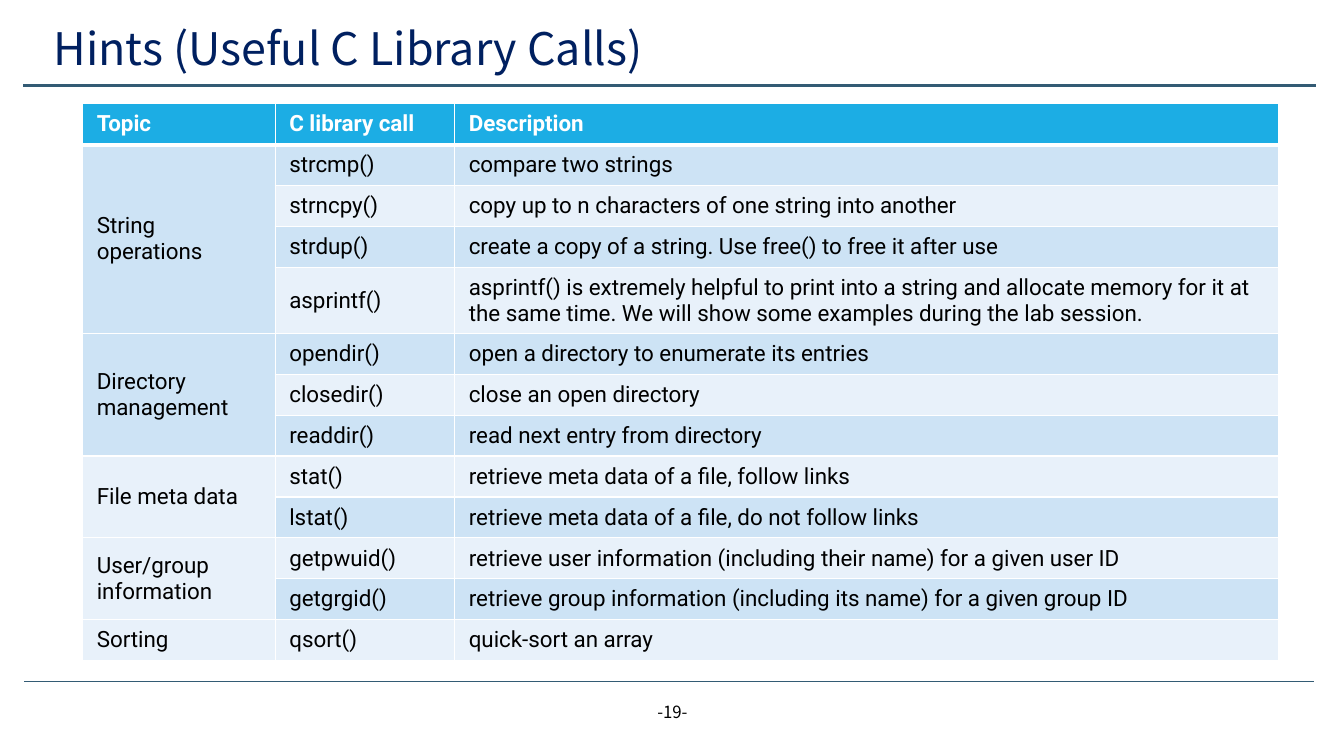
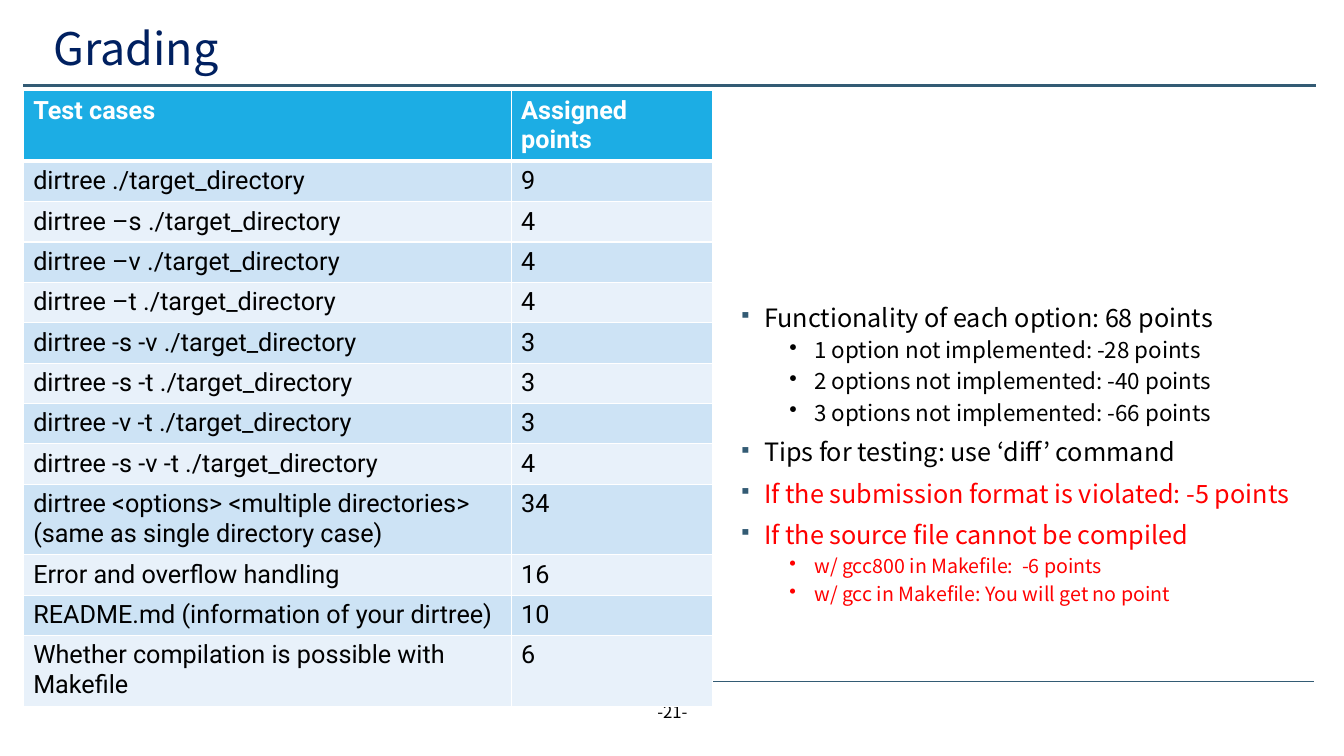
from lxml import etree
from pptx import Presentation
from pptx.dml.color import RGBColor
from pptx.enum.shapes import MSO_CONNECTOR
from pptx.enum.text import MSO_ANCHOR, MSO_AUTO_SIZE, PP_ALIGN
from pptx.oxml.ns import qn
from pptx.util import Inches, Pt

LINE = MSO_CONNECTOR.STRAIGHT
MIDDLE, TOP = MSO_ANCHOR.MIDDLE, MSO_ANCHOR.TOP
LEFT, CENTER = PP_ALIGN.LEFT, PP_ALIGN.CENTER
SANS, ROBOTO = "Noto Sans CJK KR", "Roboto"
HEX = {"navy": "002060", "rule": "335B74", "head": "1CADE4", "dark": "CDE3F5",
       "light": "E8F1FA", "white": "FFFFFF", "black": "000000", "red": "FF0000"}
RGB = {name: RGBColor.from_string(code) for name, code in HEX.items()}


def style(para, font, size, color, bold=False):
    for run in para.runs:
        run.font.name, run.font.size, run.font.bold = font, Pt(size), bold
        run.font.color.rgb = RGB[color]


def grid(slide, box, cols, rows, size, pad, anchor):
    """Add a table with a header row, banded rows and white borders."""
    frame = slide.shapes.add_table(len(rows), len(cols), *map(Inches, box))
    table = frame.table
    for col, width in zip(table.columns, cols):
        col.width = Inches(width)
    for r, row in enumerate(rows):
        head = r == 0
        band = "head" if head else "dark" if r % 2 else "light"
        for c, text in enumerate(row):
            cell = table.cell(r, c)
            cell.text_frame.text = text
            cell.vertical_anchor = anchor
            cell.margin_left = cell.margin_right = Inches(pad[0])
            cell.margin_top = cell.margin_bottom = Inches(pad[1])
            props = cell._tc.get_or_add_tcPr()
            for side in "LRTB":
                width = 3 if head and side == "B" or r == 1 and side == "T" else 1
                edge = etree.SubElement(props, qn("a:ln" + side), w=str(Pt(width)))
                fill = etree.SubElement(edge, qn("a:solidFill"))
                etree.SubElement(fill, qn("a:srgbClr"), val=HEX["white"])
            cell.fill.solid()
            cell.fill.fore_color.rgb = RGB[band]
            for para in cell.text_frame.paragraphs:
                style(para, ROBOTO, size, "white" if head else "black", head)
    return table


deck = Presentation()
deck.slide_width, deck.slide_height = Inches(13.33), Inches(7.5)
layout = deck.slide_layouts[5]

# Shared title place, rules and page numbers
title = layout.placeholders[0]
title.left, title.top = Inches(0.43), Inches(0.19)
title.width, title.height = Inches(12.64), Inches(0.63)

slides = []
for name, page in (("Hints (Useful C Library Calls)", 19), ("Grading", 21)):
    slide = deck.slides.add_slide(layout)
    slides.append(slide)
    for left, right, y, width in ((0.24, 13.03, 6.76, 0.5), (0.23, 13.05, 0.85, 1.75)):
        rule = slide.shapes.add_connector(
            LINE, Inches(left), Inches(y), Inches(right), Inches(y))
        rule.line.color.rgb, rule.line.width = RGB["rule"], Pt(width)
        etree.SubElement(rule._element.spPr, qn("a:effectLst"))
    text = slide.shapes.title.text_frame
    text.text = name
    text.vertical_anchor = MIDDLE
    text.auto_size = MSO_AUTO_SIZE.NONE
    para = text.paragraphs[0]
    para.alignment, para.line_spacing = LEFT, 0.9
    style(para, SANS, 32, "navy")
    foot = slide.shapes.add_textbox(Inches(5.17), Inches(6.91), Inches(3), Inches(0.4))
    foot.text_frame.word_wrap = True
    foot.text_frame.text = f"-{page}-"
    para = foot.text_frame.paragraphs[0]
    para.alignment = CENTER
    style(para, SANS, 12, "black")
hints, grading = slides

# Library calls, grouped by topic
topics = [
    ("String\noperations", [
        ("strcmp()", "compare two strings"),
        ("strncpy()", "copy up to n characters of one string into another"),
        ("strdup()", "create a copy of a string. Use free() to free it after use"),
        ("asprintf()", "asprintf() is extremely helpful to print into a string and "
         "allocate memory for it at the same time. We will show some examples "
         "during the lab session.")]),
    ("Directory\nmanagement", [
        ("opendir()", "open a directory to enumerate its entries"),
        ("closedir()", "close an open directory"),
        ("readdir()", "read next entry from directory")]),
    ("File meta data", [
        ("stat()", "retrieve meta data of a file, follow links"),
        ("lstat()", "retrieve meta data of a file, do not follow links")]),
    ("User/group\ninformation", [
        ("getpwuid()", "retrieve user information (including their name) "
         "for a given user ID"),
        ("getgrgid()", "retrieve group information (including its name) "
         "for a given group ID")]),
    ("Sorting", [("qsort()", "quick-sort an array")]),
]
rows = [("Topic", "C library call", "Description")]
spans = []
for topic, calls in topics:
    spans.append((len(rows), len(rows) + len(calls) - 1))
    rows += [("" if i else topic, *call) for i, call in enumerate(calls)]
table = grid(hints, (0.82, 1.03, 11.86, 5.28), (1.91, 1.78, 8.17), rows,
             16, (0.14, 0.06), MIDDLE)
for first, last in spans:
    if last > first:
        table.cell(first, 0).merge(table.cell(last, 0))

# Grading rules: level, size, colour, text
notes = [
    (0, 18, "black", "Functionality of each option: 68 points"),
    (1, 16, "black", "1 option not implemented: -28 points"),
    (1, 16, "black", "2 options not implemented: -40 points"),
    (1, 16, "black", "3 options not implemented: -66 points"),
    (0, 18, "black", "Tips for testing: use ‘diff’ command"),
    (0, 18, "red", "If the submission format is violated: -5 points"),
    (0, 18, "red", "If the source file cannot be compiled"),
    (1, 14, "red", "w/ gcc800 in Makefile:  -6 points"),
    (1, 14, "red", "w/ gcc in Makefile: You will get no point"),
]
box = grading.shapes.add_textbox(Inches(7.23), Inches(2.98), Inches(5.83), Inches(3.37))
box.fill.solid()
box.fill.fore_color.rgb = RGB["white"]
text = box.text_frame
text.word_wrap = True
text.text = "\n".join(note[3] for note in notes)
for para, (level, size, color, _) in zip(text.paragraphs, notes):
    para.level, para.line_spacing = level, 0.9
    para.space_before = Pt(5 if level else 10)
    style(para, SANS, size, color)
    props = para._p.get_or_add_pPr()
    props.set("marL", str(Inches(0.75 if level else 0.25)))
    props.set("indent", str(Inches(-0.25)))
    if not level:
        tint = etree.SubElement(props, qn("a:buClr"))
        etree.SubElement(tint, qn("a:srgbClr"), val=HEX["rule"])
        etree.SubElement(props, qn("a:buSzPct"), val="70000")
    etree.SubElement(props, qn("a:buChar"), char="•" if level else "▪")

# Points for each test case
cases = [
    ("Test cases", "Assigned points"),
    ("dirtree ./target_directory", "9"),
    ("dirtree –s ./target_directory", "4"),
    ("dirtree –v ./target_directory", "4"),
    ("dirtree –t ./target_directory", "4"),
    ("dirtree -s -v ./target_directory", "3"),
    ("dirtree -s -t ./target_directory", "3"),
    ("dirtree -v -t ./target_directory", "3"),
    ("dirtree -s -v -t ./target_directory", "4"),
    ("dirtree <options> <multiple directories> (same as single directory case)", "34"),
    ("Error and overflow handling", "16"),
    ("README.md (information of your dirtree)", "10"),
    ("Whether compilation is possible with Makefile", "6"),
]
grid(grading, (0.23, 0.9, 6.84, 3.77), (4.84, 2), cases, 18, (0.1, 0.05), TOP)

deck.save("out.pptx")
